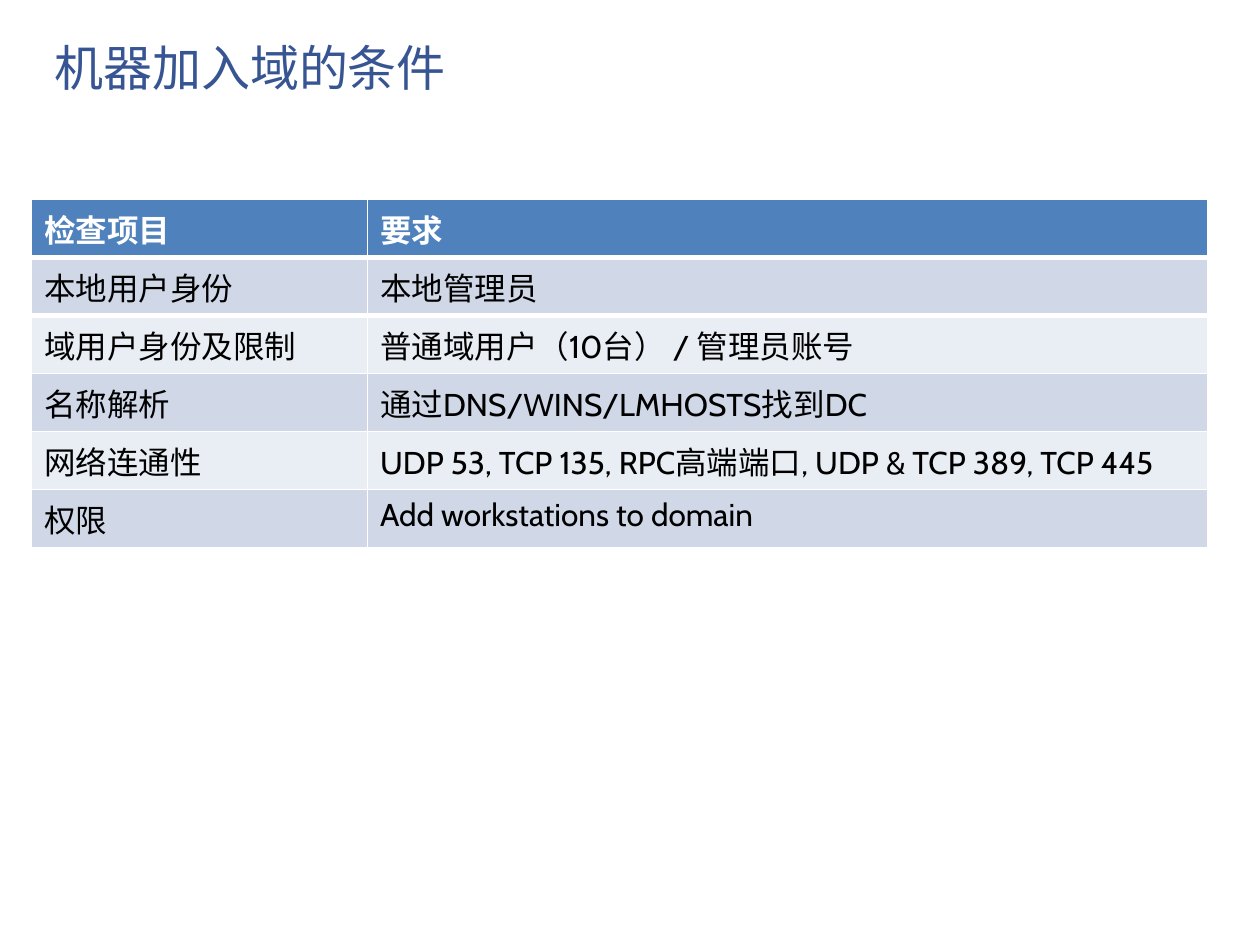
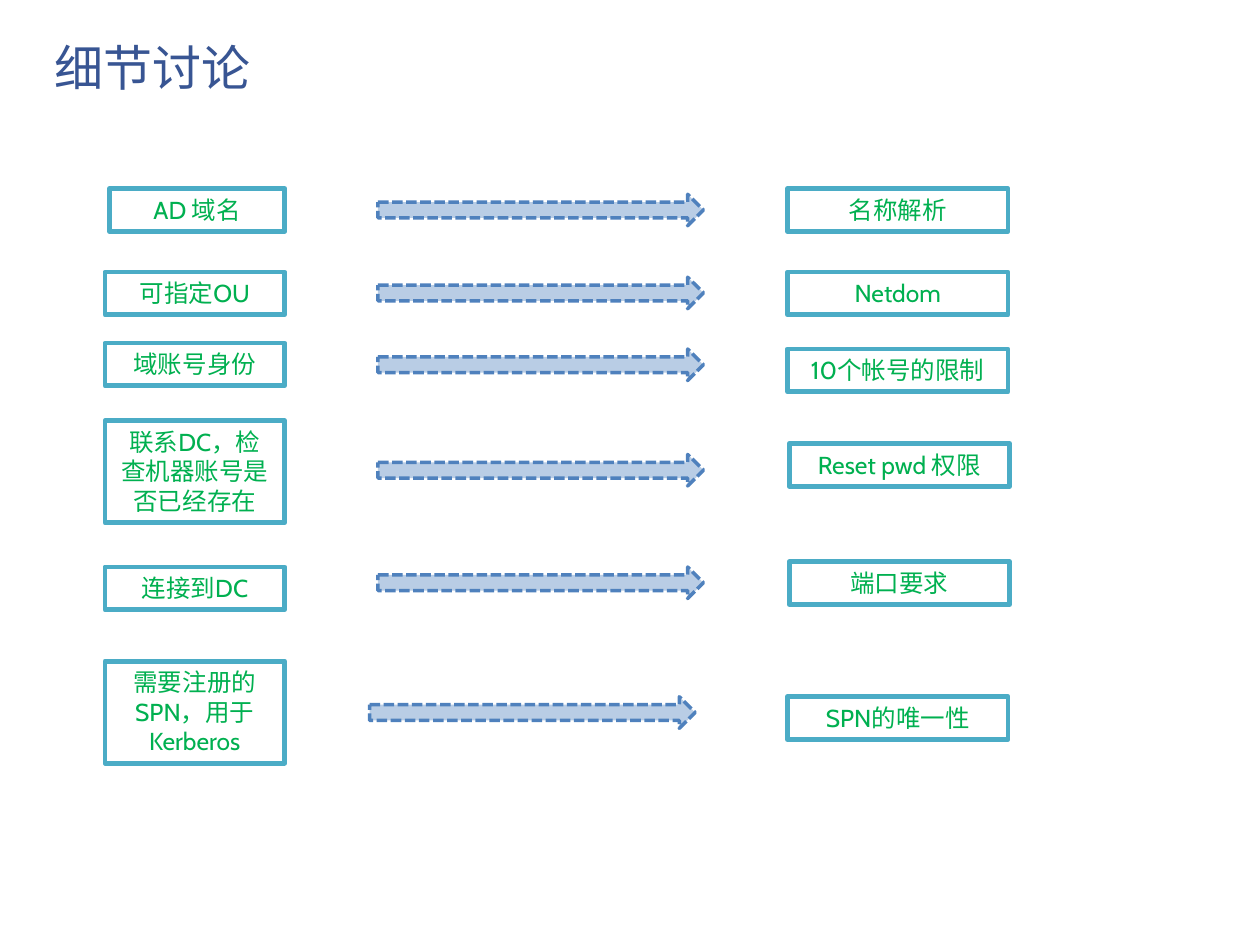
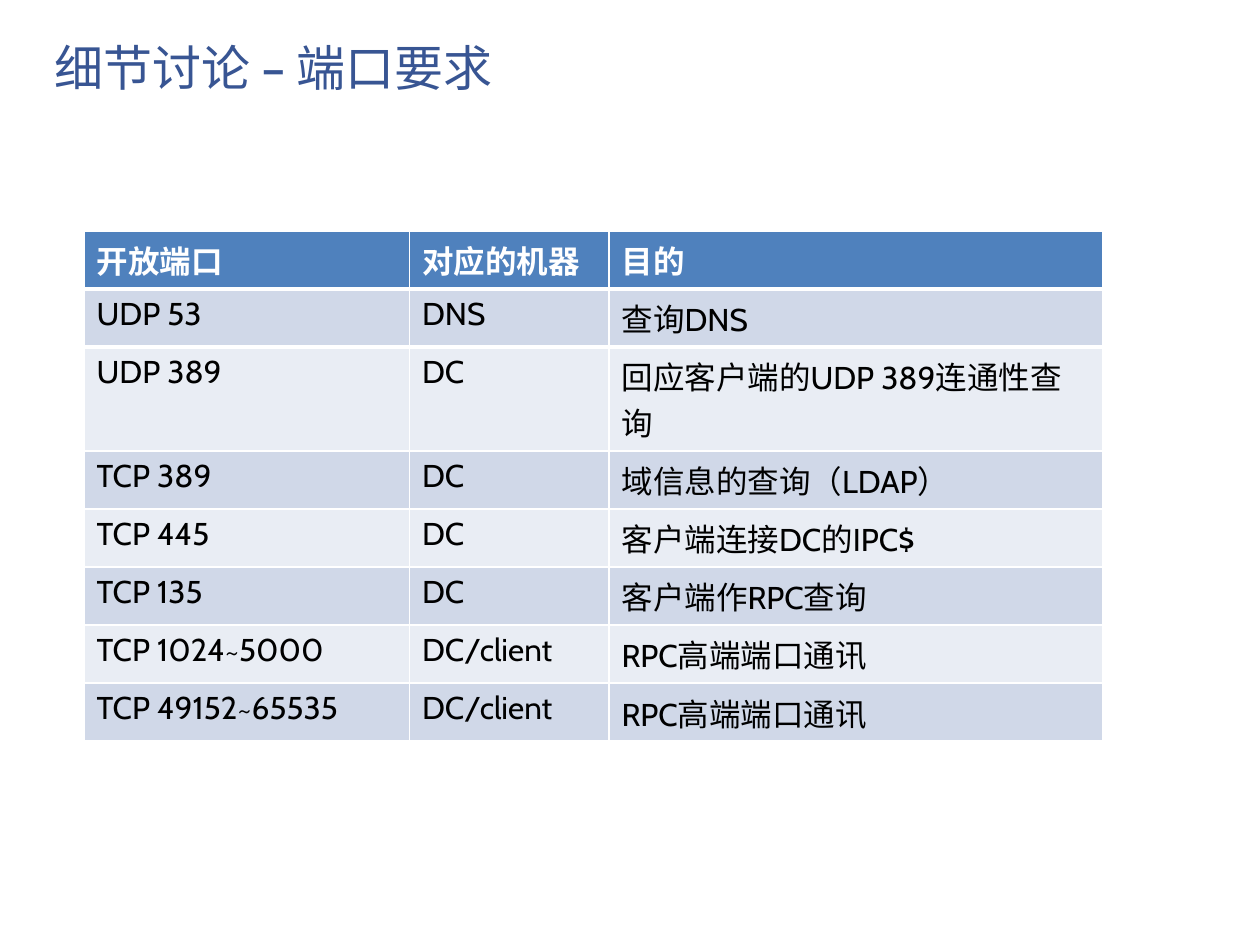
from lxml import etree
from pptx import Presentation
from pptx import util as u
from pptx.dml.color import RGBColor
from pptx.enum import dml, shapes, text
from pptx.oxml import ns

FONT = "Cabin"
TITLE_BLUE = RGBColor(0x38, 0x55, 0x93)
HEADER_BLUE = RGBColor(0x4F, 0x81, 0xBD)
BAND_DARK = RGBColor(0xD0, 0xD8, 0xE8)
BAND_LIGHT = RGBColor(0xE9, 0xED, 0xF4)
BOX_TEAL = RGBColor(0x4B, 0xAC, 0xC6)
BOX_TEXT = RGBColor(0x00, 0xB0, 0x50)
ARROW_FILL = RGBColor(0xB9, 0xCD, 0xE5)
WHITE = RGBColor(0xFF, 0xFF, 0xFF)
BLACK = RGBColor(0x00, 0x00, 0x00)

presentation = Presentation()
presentation.slide_width = u.Inches(10)
presentation.slide_height = u.Inches(7.5)
UNIT = presentation.slide_width / 120  # grid of 120 columns and 90 rows


def grid(*counts):
    return [u.Emu(round(count * UNIT)) for count in counts]


def write(frame, words, size, color, bold=False, east_asian=True):
    frame.text = words
    for run in frame.paragraphs[0].runs:
        run.font.name = FONT
        run.font.size = u.Pt(size)
        run.font.bold = bold
        run.font.color.rgb = color
        if east_asian:
            properties = run._r.get_or_add_rPr()
            etree.SubElement(properties, ns.qn("a:ea"), typeface=FONT)


# Slides with their titles
slides = []
for title in ("机器加入域的条件", "细节讨论", "细节讨论 – 端口要求"):
    slide = presentation.slides.add_slide(presentation.slide_layouts[6])
    title_box = slide.shapes.add_textbox(*grid(4, 3, 112, 8))
    title_box.text_frame.word_wrap = True
    write(title_box.text_frame, title, 28, TITLE_BLUE)
    slides.append(slide)
conditions_slide, details_slide, ports_slide = slides

# Tables: slide, left, top, column widths, rows, index of the two-line row
conditions = [
    ("检查项目", "要求"),
    ("本地用户身份", "本地管理员"),
    ("域用户身份及限制", "普通域用户（10台） / 管理员账号"),
    ("名称解析", "通过DNS/WINS/LMHOSTS找到DC"),
    ("网络连通性", "UDP 53, TCP 135, RPC高端端口, UDP & TCP 389, TCP 445"),
    ("权限", "Add workstations to domain"),
]
ports = [
    ("开放端口", "对应的机器", "目的"),
    ("UDP 53", "DNS", "查询DNS"),
    ("UDP 389", "DC", "回应客户端的UDP 389连通性查询"),
    ("TCP 389", "DC", "域信息的查询（LDAP）"),
    ("TCP 445", "DC", "客户端连接DC的IPC$"),
    ("TCP 135", "DC", "客户端作RPC查询"),
    ("TCP 1024~5000", "DC/client", "RPC高端端口通讯"),
    ("TCP 49152~65535", "DC/client", "RPC高端端口通讯"),
]
ONE_LINE, TWO_LINES = 5.53, 9.9
for slide, left, top, widths, rows, wrapped in (
    (conditions_slide, 3, 19, (32, 80), conditions, None),
    (ports_slide, 8, 22, (31, 19, 47), ports, 2),
):
    table = slide.shapes.add_table(
        len(rows), len(widths),
        *grid(left, top, sum(widths), ONE_LINE * len(rows))).table
    for column, width in zip(table.columns, grid(*widths)):
        column.width = width
    for row_index, row in enumerate(rows):
        header = row_index == 0
        band = BAND_DARK if row_index % 2 else BAND_LIGHT
        height = TWO_LINES if row_index == wrapped else ONE_LINE
        table.rows[row_index].height = grid(height)[0]
        for column_index, words in enumerate(row):
            cell = table.cell(row_index, column_index)
            write(cell.text_frame, words, 18, WHITE if header else BLACK,
                  bold=header, east_asian=False)
            # Thick white rule between header and body
            if row_index < 2:
                border = etree.SubElement(
                    cell._tc.get_or_add_tcPr(),
                    ns.qn("a:lnB" if header else "a:lnT"), w=str(u.Pt(3)))
                border_fill = etree.SubElement(border, ns.qn("a:solidFill"))
                etree.SubElement(border_fill, ns.qn("a:srgbClr"),
                                 val=str(WHITE))
            cell.fill.solid()
            cell.fill.fore_color.rgb = HEADER_BLUE if header else band

# Steps and their requirements: (text, left, top, width, height) in grid units
LOW, TALL = 4.08, 9.72
boxes = [
    ("AD 域名", 10.44, 17.96, 16.68, LOW),
    ("可指定OU", 10, 25.92, 17.12, LOW),
    ("域账号身份", 10, 32.68, 17.12, LOW),
    ("联系DC，检查机器账号是否已经存在", 10, 40.08, 17.12, TALL),
    ("连接到DC", 10, 54, 17.12, LOW),
    ("需要注册的SPN，用于Kerberos", 10, 62.96, 17.12, TALL),
    ("名称解析", 75, 17.96, 21, LOW),
    ("Netdom", 75, 25.92, 21, LOW),
    ("10个帐号的限制", 75, 33.24, 21, LOW),
    ("Reset pwd 权限", 75.16, 42.24, 21, LOW),
    ("端口要求", 75.16, 53.5, 21, LOW),
    ("SPN的唯一性", 75, 66.36, 21, LOW),
]
for words, *place in boxes:
    box = details_slide.shapes.add_shape(
        shapes.MSO_SHAPE.RECTANGLE, *grid(*place))
    box.shadow.inherit = False
    box.fill.background()
    box.line.color.rgb = BOX_TEAL
    box.line.width = u.Pt(2.75)
    frame = box.text_frame
    write(frame, words, 14, BOX_TEXT)
    frame.word_wrap = True
    frame.auto_size = text.MSO_AUTO_SIZE.SHAPE_TO_FIT_TEXT
    frame.vertical_anchor = text.MSO_ANCHOR.TOP
    frame.paragraphs[0].alignment = text.PP_ALIGN.CENTER

# Arrows from step to requirement
for left, top in ((36, 18.5), (36, 26.4), (36, 33.24), (36, 43.28),
                  (36, 54), (35.2, 66.36)):
    arrow = details_slide.shapes.add_shape(
        shapes.MSO_SHAPE.RIGHT_ARROW, *grid(left, top, 31, 3))
    arrow.shadow.inherit = False
    arrow.fill.solid()
    arrow.fill.fore_color.rgb = ARROW_FILL
    arrow.line.color.rgb = HEADER_BLUE
    arrow.line.width = u.Pt(2)
    arrow.line.dash_style = dml.MSO_LINE.SQUARE_DOT

presentation.save("out.pptx")
